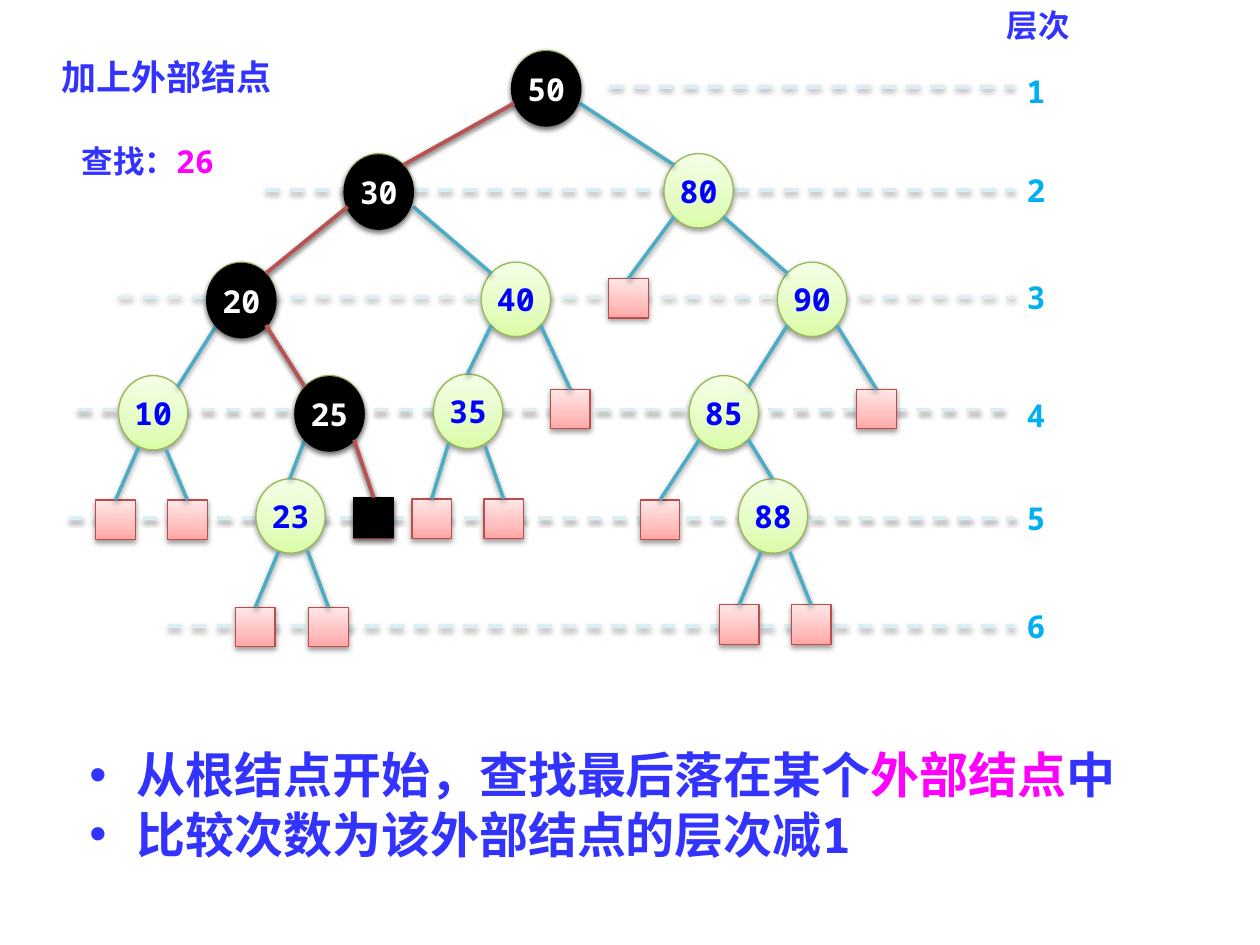
from lxml.etree import SubElement
from pptx import Presentation
from pptx.dml.color import RGBColor
from pptx.enum.dml import MSO_LINE
from pptx.enum.shapes import MSO_CONNECTOR, MSO_SHAPE
from pptx.enum.text import MSO_ANCHOR, PP_ALIGN
from pptx.oxml import parse_xml
from pptx.oxml.ns import nsdecls, qn
from pptx.util import Pt

rgb = RGBColor.from_string
mono = "Noto Sans Mono"
cjk = "Noto Sans CJK SC"
blue, pink, cyan = "3333FF", "FF00FF", "00B0F0"
teal, red, black = "4BACC6", "C0504D", "000000"
green = ("DAFDA7", "E4FCC2", "F5FFE7")
rose = ("FFA6A5", "FFC0BF", "FFE7E7")
wide, high, side = 39.6, 42.5, 22.6


def style(item, tone, width, fill=None):
    item.line.color.rgb = rgb(tone)
    item.line.width = Pt(width)
    props = item._element.spPr
    alpha, dist = 38, 1.57
    if fill == black:
        item.fill.solid()
        item.fill.fore_color.rgb = rgb(fill)
        alpha, dist = 35, 1.81
    elif fill:
        stops = "".join(
            f'<a:gs pos="{pos}"><a:srgbClr val="{hue}"/></a:gs>'
            for pos, hue in zip((0, 35000, 100000), fill))
        props.find(qn("a:prstGeom")).addnext(parse_xml(
            f'<a:gradFill rotWithShape="1" {nsdecls("a")}><a:gsLst>{stops}</a:gsLst>'
            '<a:lin ang="16200000" scaled="0"/></a:gradFill>'))
    props.append(parse_xml(
        f'<a:effectLst {nsdecls("a")}><a:outerShdw blurRad="{Pt(3.15)}" '
        f'dist="{Pt(dist)}" dir="5400000" rotWithShape="0"><a:srgbClr val="{black}">'
        f'<a:alpha val="{alpha * 1000}"/></a:srgbClr></a:outerShdw></a:effectLst>'))


def ink(run, size, hue, face=mono):
    run.font.size = Pt(size)
    run.font.bold = True
    run.font.color.rgb = rgb(hue)
    run.font.name = face
    SubElement(run._r.rPr, qn("a:ea")).set("typeface", cjk)


deck = Presentation()
deck.slide_width, deck.slide_height = Pt(720), Pt(540)
shapes = deck.slides.add_slide(deck.slide_layouts[6]).shapes

labels = [
    ("加上外部结点", 28.1, 28.1, 174.2, 31.5, 20, blue, "Times New Roman"),
    ("层次", 568.1, 0, 61.9, 28.8, 18, blue, cjk),
]
levels = [
    (348.5, 49.7, 37.4), (151.9, 108.7, 94.3), (67.7, 169.9, 155.5),
    (44.6, 234, 222.5), (39.6, 295.9, 281.5), (95.8, 357.8, 343.4),
]
for level, (left, mid, top) in enumerate(levels, 1):
    dash = shapes.add_connector(
        MSO_CONNECTOR.STRAIGHT, Pt(left), Pt(mid), Pt(579.6), Pt(mid))
    style(dash, "DBEEF4", 2)
    dash.line.dash_style = MSO_LINE.DASH
    labels.append((str(level), 579.6, top, 28.1, 28.8, 18, cyan, mono))

for text, left, top, width, height, size, hue, face in labels:
    box = shapes.add_textbox(Pt(left), Pt(top), Pt(width), Pt(height))
    box.text_frame.word_wrap = True
    box.text_frame.text = text
    ink(box.text_frame.paragraphs[0].runs[0], size, hue, face)

nodes = {
    50: (292.3, 28.8), 30: (196.6, 87.8), 80: (379.4, 87.8),
    20: (118.1, 149.8), 40: (275, 149.8), 90: (444.2, 149.8),
    10: (67.7, 214.6), 25: (168.5, 214.6), 35: (247.7, 213.8),
    85: (393.8, 214.6), 23: (146.2, 273.6), 88: (421.9, 273.6),
}
edges = {
    (50, 30): (293.8, 59, 230.4, 94.3), (50, 80): (331.2, 59, 385.2, 94.3),
    (30, 20): (198.7, 118.1, 151.9, 156.2), (30, 40): (236.2, 118.1, 280.8, 156.2),
    (80, 90): (413.3, 123.8, 450, 156.2), (20, 10): (123.8, 185.8, 101.5, 221),
    (20, 25): (151.9, 185.8, 174.2, 221), (40, 35): (280.8, 185.8, 267.1, 213.8),
    (90, 85): (450, 185.8, 427.7, 221), (25, 23): (174.2, 251.3, 165.6, 273.6),
    (85, 88): (427.7, 251.3, 441.4, 273.6),
}
last = (202.3, 285.1, 202.3, 251.3)
leaves = [
    (347.8, 159.1, 385.2, 123.8), (314.6, 222.5, 308.9, 185.8),
    (489.6, 222.5, 478.1, 185.8), (54.7, 285.8, 79.2, 255.6),
    (95.8, 285.8, 95, 257), last, (235.4, 285.1, 256.3, 253.4),
    (276.5, 285.1, 277.2, 254.9), (365.8, 285.8, 399.6, 251.3),
    (134.6, 347, 159.1, 315.4), (176.4, 347, 175.7, 314.6),
    (411.1, 345.6, 434.9, 315.4), (452.2, 345.6, 451.4, 315.4),
]
trail = [50, 30, 20, 25]
track = [(50, 30), (30, 20), (20, 25)]
passes = [
    (nodes, edges, leaves, green, "98B955", "0000FF", rose, "BF4C48", teal, 0),
    (trail, track, [last], black, black, "FFFFFF", black, black, red, -0.7),
]
for keys, links, ends, fill, rim, hue, tint, frame, tone, lift in passes:
    for key in keys:
        left, top = nodes[key]
        node = shapes.add_shape(
            MSO_SHAPE.OVAL, Pt(left), Pt(top - lift), Pt(wide), Pt(high))
        style(node, rim, 0.75, fill)
        body = node.text_frame
        body.margin_left = body.margin_right = 0
        body.vertical_anchor = MSO_ANCHOR.MIDDLE
        body.text = str(key)
        body.paragraphs[0].alignment = PP_ALIGN.CENTER
        ink(body.paragraphs[0].runs[0], 18, hue)
    for link in links:
        edge = shapes.add_connector(
            MSO_CONNECTOR.STRAIGHT, *[Pt(part) for part in edges[link]])
        style(edge, tone, 2)
    for left, top, start, drop in ends:
        leaf = shapes.add_shape(
            MSO_SHAPE.RECTANGLE, Pt(left), Pt(top + lift), Pt(side), Pt(side))
        style(leaf, frame, 0.75, tint)
        edge = shapes.add_connector(
            MSO_CONNECTOR.STRAIGHT, Pt(start), Pt(drop), Pt(left + side / 2), Pt(top))
        edge.end_connect(leaf, 0)
        style(edge, tone, 2)

query = shapes.add_textbox(Pt(39.6), Pt(77.8), Pt(106.6), Pt(28.8))
query.text_frame.word_wrap = True
line = query.text_frame.paragraphs[0]
for text, hue in [("查找：", blue), ("26", pink)]:
    run = line.add_run()
    run.text = text
    ink(run, 18, hue)

note = shapes.add_shape(
    MSO_SHAPE.RECTANGLE, Pt(39.6), Pt(422.6), Pt(621.4), Pt(79.9))
note.shadow.inherit = False
note.fill.solid()
note.fill.fore_color.rgb = rgb("FFFFFF")
note.line.fill.background()
body = note.text_frame
body.word_wrap = True
body.vertical_anchor = MSO_ANCHOR.TOP
body.margin_left, body.margin_right = Pt(11.5), Pt(7.2)
body.margin_top = body.margin_bottom = Pt(8.6)
points = [
    [("从根结点开始，查找最后落在某个", blue), ("外部结点", pink), ("中", blue)],
    [("比较次数为该外部结点的层次减1", blue)],
]
for rank, parts in enumerate(points):
    line = body.add_paragraph() if rank else body.paragraphs[0]
    line.alignment = PP_ALIGN.LEFT
    line.line_spacing = Pt(28)
    if rank:
        line.space_before = Pt(6)
    props = line._p.get_or_add_pPr()
    props.set("marL", str(Pt(27)))
    props.set("indent", str(Pt(-27)))
    SubElement(props, qn("a:buFont")).set("typeface", "Arial")
    SubElement(props, qn("a:buChar")).set("char", "•")
    for text, hue in parts:
        run = line.add_run()
        run.text = text
        ink(run, 28, hue)

deck.save("out.pptx")
